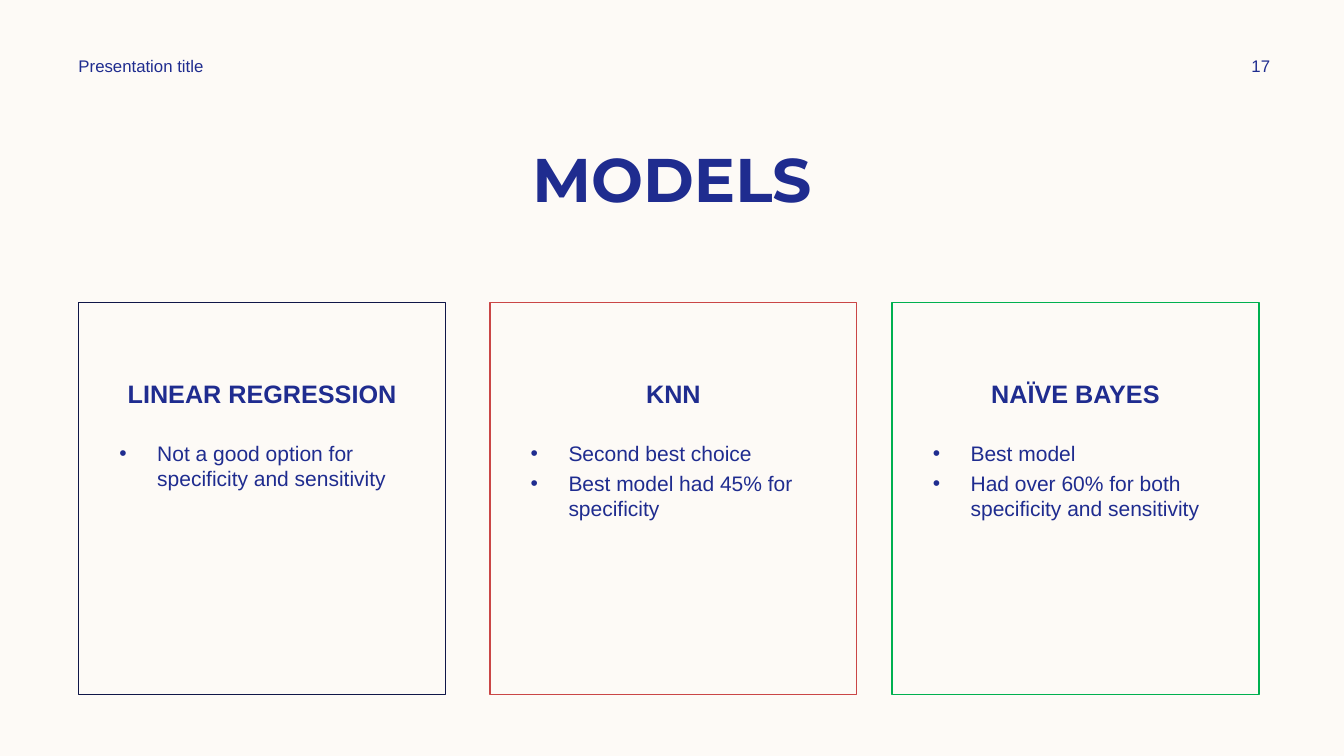
from lxml import etree
from pptx import Presentation
from pptx.dml.color import RGBColor
from pptx.enum.shapes import MSO_SHAPE
from pptx.enum.text import MSO_ANCHOR, PP_ALIGN
from pptx.oxml.ns import qn
from pptx.util import Pt

RECTANGLE = MSO_SHAPE.RECTANGLE
TOP, MIDDLE = MSO_ANCHOR.TOP, MSO_ANCHOR.MIDDLE
LEFT, CENTER = PP_ALIGN.LEFT, PP_ALIGN.CENTER

COLORS = {
    "paper": "FDFAF6",
    "ink": "1F2C8F",
    "navy": "101648",
    "red": "CA4646",
    "green": "00B050",
}
BODY_FONT, TITLE_FONT = "Arial", "Montserrat"

CARD_TOP, CARD_WIDTH, CARD_HEIGHT = 216, 262, 280
MODELS = [
    (56.2, "navy", "LINEAR REGRESSION",
     ["Not a good option for specificity and sensitivity"]),
    (350, "red", "KNN",
     ["Second best choice", "Best model had 45% for specificity"]),
    (637.2, "green", "NAÏVE BAYES",
     ["Best model", "Had over 60% for both specificity and sensitivity"]),
]


def color(name):
    return RGBColor.from_string(COLORS[name])


def style(paragraph, size, font=BODY_FONT, bold=False, align=LEFT):
    paragraph.alignment = align
    for run in paragraph.runs:
        run.font.name = font
        run.font.size = Pt(size)
        run.font.bold = bold
        run.font.color.rgb = color("ink")


def add_bullet(paragraph, indent):
    properties = paragraph._p.get_or_add_pPr()
    properties.set("marL", str(Pt(indent)))
    properties.set("indent", str(-Pt(indent)))
    etree.SubElement(properties, qn("a:buFont")).set("typeface", BODY_FONT)
    etree.SubElement(properties, qn("a:buChar")).set("char", "•")


def add_text(slide, box, lines, anchor=TOP):
    frame = slide.shapes.add_textbox(*map(Pt, box)).text_frame
    frame.word_wrap = True
    frame.vertical_anchor = anchor
    frame.text = "\n".join(lines)
    return frame.paragraphs


def add_header(slide, left, top, width, height):
    """Running title at the left, page number at the right."""
    number_width = 78
    running = add_text(slide, (left, top, 252, height),
                       ["Presentation title"], MIDDLE)
    style(running[0], 12)
    number_left = left + width - number_width
    number = add_text(slide, (number_left, top, number_width, height),
                      ["17"], MIDDLE)
    style(number[0], 12, align=CENTER)


def add_title(slide, left, top, width, height):
    title = add_text(slide, (left, top, width, height), ["MODELS"])
    style(title[0], 44, TITLE_FONT, True, CENTER)


def add_model_card(slide, left, top, width, height, outline, name, findings):
    # Outlined card with the model name
    card = slide.shapes.add_shape(RECTANGLE, *map(Pt, (left, top, width, height)))
    card.shadow.inherit = False
    card.fill.background()
    card.line.color.rgb = color(outline)
    card.line.width = Pt(1)
    heading = card.text_frame
    heading.word_wrap = True
    heading.vertical_anchor = TOP
    heading.margin_top = Pt(54)
    heading.text = name
    style(heading.paragraphs[0], 18, bold=True, align=CENTER)

    # Bulleted findings
    side, drop = 22, 95
    box = (left + side, top + drop, width - 2 * side, height - drop - 12)
    for index, finding in enumerate(add_text(slide, box, findings)):
        if index:
            finding.space_before = Pt(3.6)
        add_bullet(finding, 27)
        style(finding, 15)


def main():
    deck = Presentation()
    deck.slide_width, deck.slide_height = Pt(960), Pt(540)
    slide = deck.slides.add_slide(deck.slide_layouts[6])
    slide.background.fill.solid()
    slide.background.fill.fore_color.rgb = color("paper")

    add_header(slide, 49, 36, 890.6, 21.6)
    add_title(slide, 60, 97.2, 840, 60.5)
    for left, outline, name, findings in MODELS:
        add_model_card(slide, left, CARD_TOP, CARD_WIDTH, CARD_HEIGHT,
                       outline, name, findings)
    deck.save("out.pptx")


if __name__ == "__main__":
    main()
